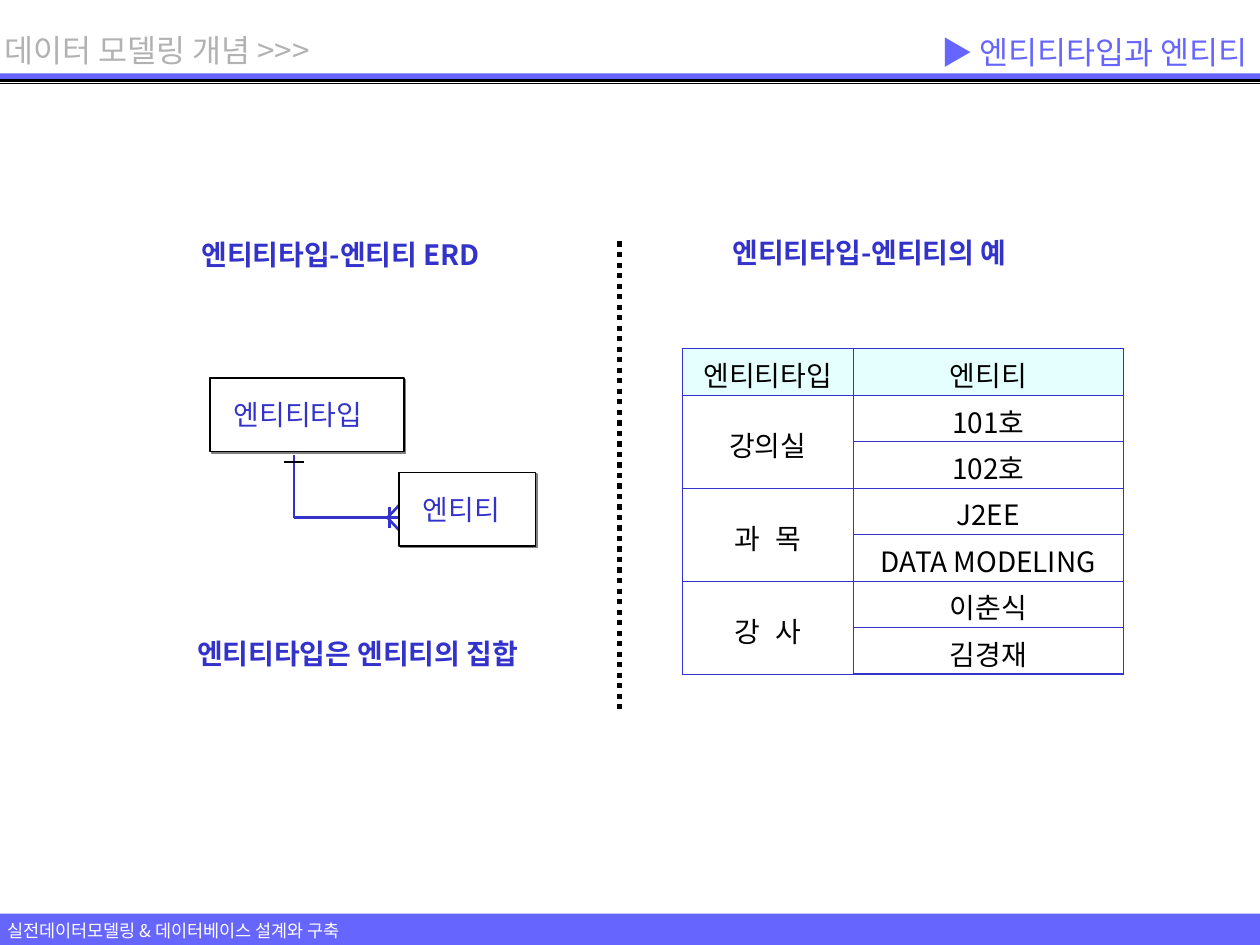
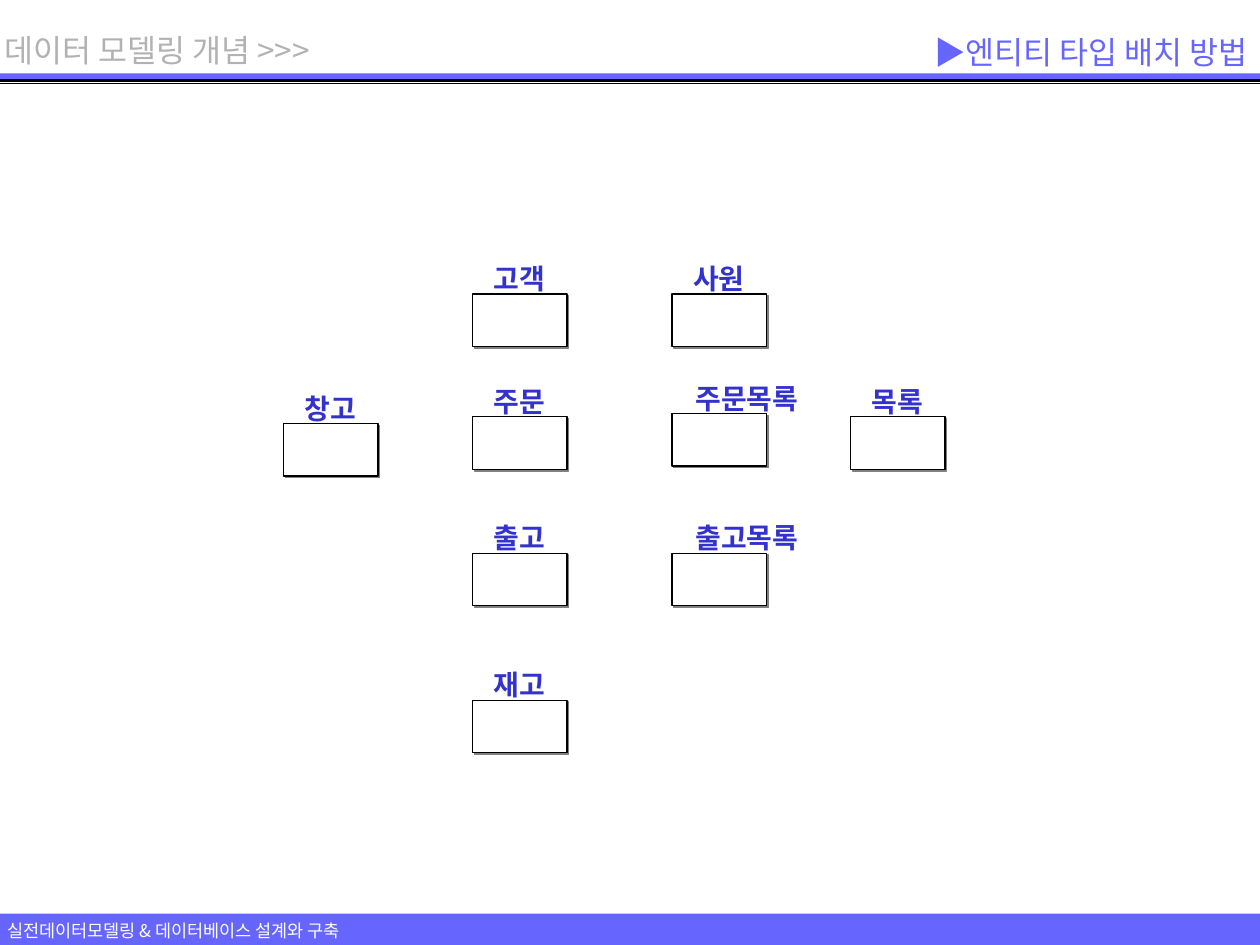
"""Build two slides on entity types, their entities and their layout."""
from lxml import etree
from pptx import Presentation
from pptx.dml.color import RGBColor
from pptx.enum.dml import MSO_LINE
from pptx.enum.shapes import MSO_CONNECTOR, MSO_SHAPE
from pptx.enum.text import MSO_ANCHOR, MSO_AUTO_SIZE, PP_ALIGN
from pptx.oxml.ns import qn
from pptx.util import Inches, Pt

FONT = "Noto Sans CJK KR"
COLORS = {
    "band": "6666FF", "accent": "3333CC", "black": "000000", "white": "FFFFFF",
    "muted": "B2B2B2", "shadow": "808080", "header": "CCFFFF",
}
COLUMNS, ROWS = 120, 90
RECTANGLE, TRIANGLE = MSO_SHAPE.RECTANGLE, MSO_SHAPE.ISOSCELES_TRIANGLE
STRAIGHT, DOTTED = MSO_CONNECTOR.STRAIGHT, MSO_LINE.ROUND_DOT
LEFT, CENTER, RIGHT = PP_ALIGN.LEFT, PP_ALIGN.CENTER, PP_ALIGN.RIGHT
TOP, MIDDLE = MSO_ANCHOR.TOP, MSO_ANCHOR.MIDDLE
GROW = MSO_AUTO_SIZE.SHAPE_TO_FIT_TEXT
THIN, THICK = 0.23, 1.08


class Deck:
    """Hold the presentation style and draw on the current slide."""

    def __init__(self):
        self.presentation = Presentation()
        self.presentation.slide_width = Inches(10)
        self.presentation.slide_height = Inches(7.5)
        self.slide = None

    def place(self, *lengths):
        """Turn alternating columns and rows into slide lengths."""
        units = (self.presentation.slide_width / COLUMNS, self.presentation.slide_height / ROWS)
        return [round(length * units[index % 2]) for index, length in enumerate(lengths)]

    def color(self, name):
        """Return a named colour."""
        return RGBColor.from_string(COLORS[name])

    def format_paragraph(self, paragraph, size, color, bold=False, align=LEFT):
        """Style every run of a paragraph."""
        paragraph.alignment = align
        for run in paragraph.runs:
            run.font.size = Pt(size)
            run.font.bold = bold
            run.font.color.rgb = self.color(color)
            run.font.name = FONT
            properties = run.font._element
            etree.SubElement(properties, qn("a:ea"), typeface=FONT)

    def add_slide(self, title):
        """Start a slide with the shared bands, section name and footer."""
        layout = self.presentation.slide_layouts[6]
        self.slide = self.presentation.slides.add_slide(layout)
        self.shape(RECTANGLE, (0, 87, COLUMNS, 3), fill="band")
        self.shape(RECTANGLE, (0, 7, COLUMNS, 0.7), fill="band")
        for row in (7.62, 7.74, 7.95):
            self.line((0, row), (COLUMNS, row))
        self.text("실전데이터모델링 & 데이터베이스 설계와 구축", (-0.5, 87, 37.7, 3.2), 10, "white")
        self.text("데이터 모델링 개념 >>>", (-0.75, 2.4, 34.5, 4.8), 18, "muted")
        self.text(title, (60, 2.3, 60, 5.2), 18, "band", align=RIGHT, anchor=MIDDLE)

    def text(self, words, box, size, color, bold=False, align=LEFT, anchor=TOP):
        """Add a one-line text box."""
        text_frame = self.slide.shapes.add_textbox(*self.place(*box)).text_frame
        text_frame.word_wrap = False
        text_frame.vertical_anchor = anchor
        if anchor == TOP:
            text_frame.auto_size = GROW
        text_frame.text = words
        self.format_paragraph(text_frame.paragraphs[0], size, color, bold, align)

    def heading(self, words, box):
        """Add a bold accent heading."""
        self.text(words, box, 16, "accent", bold=True)

    def shape(self, kind, box, fill=None, line=None, width=0.75):
        """Add a preset shape without a shadow."""
        shape = self.slide.shapes.add_shape(kind, *self.place(*box))
        shape.shadow.inherit = False
        if fill:
            shape.fill.solid()
            shape.fill.fore_color.rgb = self.color(fill)
        else:
            shape.fill.background()
        if line:
            shape.line.color.rgb = self.color(line)
            shape.line.width = Pt(width)
        else:
            shape.line.fill.background()
        return shape

    def entity(self, box, name=None):
        """Add a white box with a hard shadow and, if given, its name inside."""
        shape = self.shape(RECTANGLE, box, fill="white", line="black")
        effects = shape._element.spPr.find(qn("a:effectLst"))
        shadow = etree.SubElement(effects, qn("a:outerShdw"), blurRad="0",
                                  dist=str(Pt(1.4)), dir="2700000", algn="ctr", rotWithShape="0")
        etree.SubElement(shadow, qn("a:srgbClr"), val=COLORS["shadow"])
        if name:
            text_frame = shape.text_frame
            text_frame.word_wrap = False
            text_frame.vertical_anchor = MIDDLE
            text_frame.margin_left = Inches(0.19)
            text_frame.text = name
            self.format_paragraph(text_frame.paragraphs[0], 16, "accent")

    def named_entity(self, name, column, row):
        """Add a small empty entity with its name above."""
        offset = 1.05 if len(name) > 2 else 0.85
        self.heading(name, (column + offset, row - 3.67, 2.6 * (len(name) + 1), 4.4))
        self.entity((column, row, 9, 5))

    def line(self, start, end, color="black", width=0.75, dash=None):
        """Add a straight line."""
        connector = self.slide.shapes.add_connector(STRAIGHT, *self.place(*start, *end))
        connector.line.color.rgb = self.color(color)
        connector.line.width = Pt(width)
        if dash:
            connector.line.dash_style = dash
        etree.SubElement(connector._element.spPr, qn("a:effectLst"))

    def border(self, cell, sides):
        """Draw the four borders of a cell."""
        properties = cell._tc.get_or_add_tcPr()
        for side, width in sides.items():
            line = etree.SubElement(properties, qn(f"a:ln{side}"), w=str(Pt(width)))
            fill = etree.SubElement(line, qn("a:solidFill"))
            etree.SubElement(fill, qn("a:srgbClr"), val=COLORS["accent"])

    def table(self, rows, box, widths):
        """Add a table whose blank first cells join the cell above."""
        frame = self.slide.shapes.add_table(len(rows), len(widths), *self.place(*box))
        table = frame.table
        table.first_row = table.horz_banding = False
        for column, width in zip(table.columns, widths):
            column.width = self.place(width)[0]
        last_row, last_column = len(rows) - 1, len(widths) - 1
        for row, values in enumerate(rows):
            for column, value in enumerate(values):
                cell = table.cell(row, column)
                self.border(cell, {
                    "L": THIN if column else THICK,
                    "R": THICK if column == last_column else THIN,
                    "T": THIN if row else THICK,
                    "B": THICK if row == last_row else THIN,
                })
                self.fill_cell(cell, value, header=row == 0)
                if not value:
                    table.cell(row - 1, column).merge(cell)

    def fill_cell(self, cell, value, header):
        """Set the fill and centred text of a cell."""
        cell.fill.solid()
        cell.fill.fore_color.rgb = self.color("header" if header else "white")
        if header:
            tint = cell._tc.tcPr.find(qn("a:solidFill"))[0]
            etree.SubElement(tint, qn("a:alpha"), val="50000")
        cell.vertical_anchor = MIDDLE
        cell.margin_top, cell.margin_bottom = Inches(0.04), 0
        if value:
            paragraph = cell.text_frame.paragraphs[0]
            paragraph.text = value
            self.format_paragraph(paragraph, 16, "black", align=CENTER)
            if value in SPACED_NAMES:
                paragraph.runs[0].font._element.set("spc", "240")


SPACED_NAMES = ("과 목", "강 사")
EXAMPLES = [
    ("엔티티타입", "엔티티"),
    ("강의실", "101호"), ("", "102호"),
    ("과 목", "J2EE"), ("", "DATA MODELING"),
    ("강 사", "이춘식"), ("", "김경재"),
]
ENTITIES = [
    ("고객", 45, 28), ("사원", 64, 28),
    ("주문", 45, 39.7), ("주문목록", 64, 39.4), ("목록", 81, 39.7),
    ("출고목록", 64, 52.7), ("출고", 45, 52.7),
    ("재고", 45, 66.7), ("창고", 27, 40.35),
]


def add_entity_type_slide(deck):
    """Show the diagram of entity type and entity beside examples."""
    deck.add_slide("▶ 엔티티타입과 엔티티")
    deck.heading("엔티티타입은 엔티티의 집합", (17.6, 60, 34.4, 4.4))
    deck.heading("엔티티타입-엔티티 ERD", (18, 22, 34, 4.4))
    crow_foot = deck.shape(TRIANGLE, (36.1, 48.6, 3, 1.4), line="accent", width=1.5)
    crow_foot.rotation = 270
    deck.line((28, 49.3), (37.9, 49.3), "accent", 1.5)
    deck.line((37.1, 50.3), (37.1, 48.3), "accent", 1.5)
    deck.entity((20, 36, 18.5, 7), "엔티티타입")
    deck.entity((38, 45, 13, 7), "엔티티")
    deck.line((28, 49.3), (28, 43.3), "accent", 1.5)
    deck.line((27, 44), (29, 44))
    deck.heading("엔티티타입-엔티티의 예", (68.6, 21.8, 31.1, 4.4))
    deck.table(EXAMPLES, (65, 33.2, 42, 31), (16.25, 25.75))
    deck.line((59, 23), (59, 68), width=3, dash=DOTTED)


def add_placement_slide(deck):
    """Show how entity types are placed."""
    deck.add_slide("▶엔티티 타입 배치 방법")
    for name, column, row in ENTITIES:
        deck.named_entity(name, column, row)


def main():
    """Build and save the presentation."""
    deck = Deck()
    add_entity_type_slide(deck)
    add_placement_slide(deck)
    deck.presentation.save("out.pptx")


if __name__ == "__main__":
    main()
